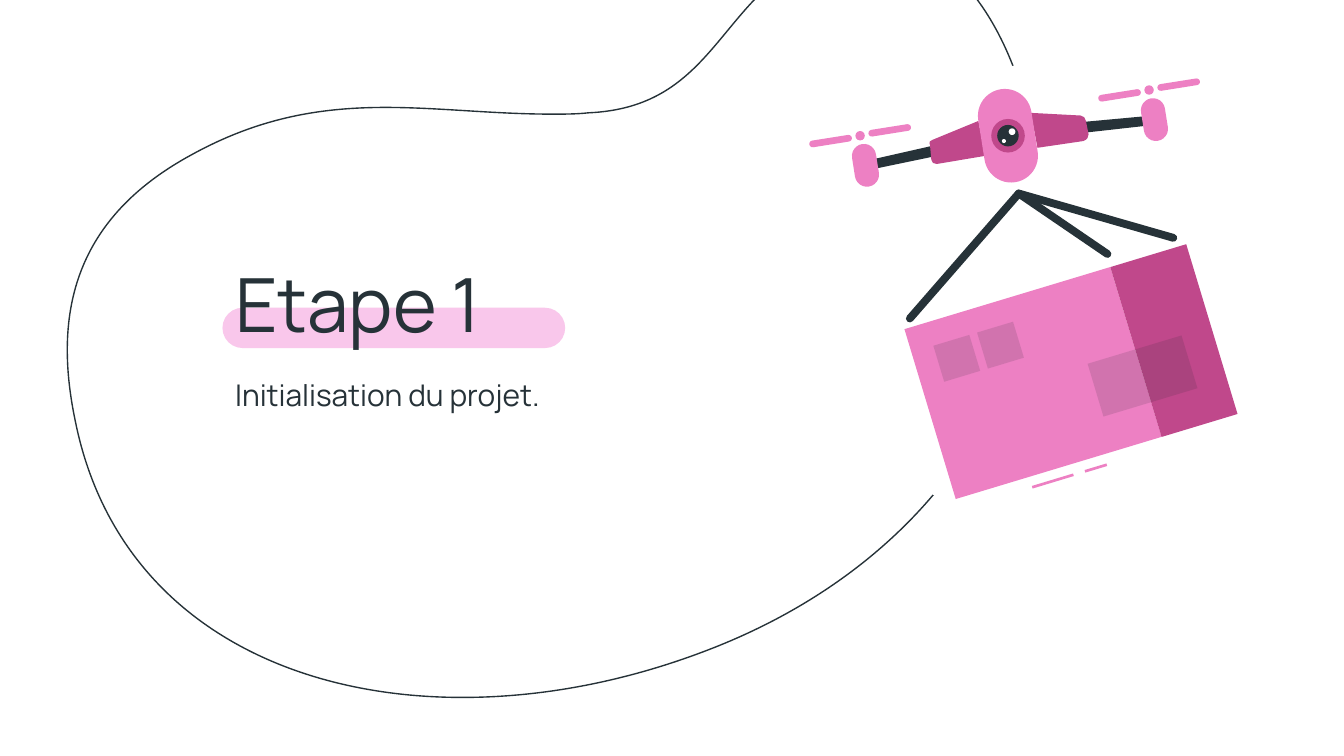
from dataclasses import dataclass
from math import cos, radians, sin

from lxml.etree import SubElement
from pptx import Presentation
from pptx.dml.color import RGBColor as Rgb
from pptx.enum.shapes import MSO_CONNECTOR as Link, MSO_SHAPE as Kind
from pptx.enum.text import MSO_ANCHOR as Anchor, MSO_AUTO_SIZE as Fit, PP_ALIGN as Align
from pptx.oxml.ns import qn
from pptx.util import Inches, Pt


@dataclass(frozen=True)
class Theme:
    font: str = "Manrope"
    ink: str = "263238"
    shade: str = "1A2327"
    pink: str = "ED80C3"
    deep: str = "C0488B"
    pale: str = "F9C7EB"
    white: str = "FFFFFF"
    title: int = 40
    body: int = 16
    thin: float = 0.75
    rope: float = 4.2


T = Theme()
COLS = 10
WIDE = Inches(COLS)
HIGH = WIDE * 9 // 16
CELL = WIDE / COLS
TILT = -9  # drone
LEAN = radians(-16.8)  # crate

# A step of two numbers is a line, a step of six is a curve.
ROUTE = [
    (6.51, -0.44),
    (6.36, -0.44, 6.19, -0.4, 6.01, -0.31),
    (5.34, 0.04, 5.29, 0.8, 4.38, 0.84),
    (4.29, 0.85, 4.2, 0.85, 4.11, 0.85),
    (3.67, 0.85, 3.27, 0.8, 2.87, 0.8),
    (2.4, 0.8, 1.94, 0.87, 1.43, 1.15),
    (0.56, 1.62, 0.39, 2.32, 0.56, 3.13),
    (0.84, 4.53, 2.05, 5.19, 3.44, 5.19),
    (4.04, 5.19, 4.66, 5.07, 5.26, 4.84),
    (7.17, 4.11, 8.05, 2.42, 7.62, 0.74),
    (7.48, 0.23, 7.12, -0.44, 6.51, -0.44),
]
ARMS = [
    [(8.58, 0.86), (8.04, 0.91), (8.05, 0.99), (8.59, 0.93)],
    [(6.96, 1.08), (6.43, 1.2), (6.44, 1.27), (6.97, 1.16)],
]
WINGS = [
    [(7.67, 0.84), (7.72, 1.1), (8.06, 1.05), (8.09, 1.04, 8.1, 1.02, 8.1, 1),
     (8.08, 0.9), (8.08, 0.88, 8.06, 0.86, 8.04, 0.86)],
    [(7.28, 0.9), (6.94, 1.04), (6.92, 1.04, 6.91, 1.06, 6.92, 1.08),
     (6.93, 1.19), (6.93, 1.21, 6.95, 1.22, 6.97, 1.22), (7.33, 1.16)],
]
HUBS = [(8.55, 0.67), (6.4, 1.01)]
HOOK = (7.58, 1.44)
ENDS = [(8.73, 1.77), (8.24, 1.89), (6.77, 2.37)]


def units(*vals):
    return [round(v * CELL) for v in vals]


def apply(item, form):
    for name, val in form.items():
        setattr(item, name, val)


def paint(shape, color, alpha=None):
    shape.shadow.inherit = False
    shape.line.fill.background()
    shape.fill.solid()
    shape.fill.fore_color.rgb = Rgb.from_string(color)
    if alpha:
        tint = shape._element.spPr.find(".//" + qn("a:srgbClr"))
        SubElement(tint, qn("a:alpha")).set("val", str(alpha * 1000))


def stroke(shape, color, width):
    shape.line.color.rgb = Rgb.from_string(color)
    shape.line.width = Pt(width)


def trace(shapes, steps):
    """Build a closed outline, turning each six-number step into a curve."""
    pts = [pair for step in steps for pair in zip(step[::2], step[1::2])]
    pen = shapes.build_freeform(*units(*pts[0]), scale=1.0)
    pen.add_line_segments([units(*pt) for pt in pts[1:]], close=True)
    shape = pen.convert_to_shape()
    track = shape._element.find(".//" + qn("a:path"))
    lines = iter(track.findall(qn("a:lnTo")))
    for step in steps[1:]:
        line = next(lines)
        if len(step) == 6:
            curve = SubElement(track, qn("a:cubicBezTo"))
            line.addprevious(curve)
            for part in (line, next(lines), next(lines)):
                curve.append(part[0])
                track.remove(part)
    return shape


def blob(shapes, kind, mid, size, color, turn=0):
    """Add a preset shape around its centre."""
    (x, y), (w, h) = mid, size
    shape = shapes.add_shape(kind, *units(x - w / 2, y - h / 2, w, h))
    if kind == Kind.ROUNDED_RECTANGLE:
        shape.adjustments[0] = 0.5
    shape.rotation = turn
    paint(shape, color)
    return shape


def pill(shapes, mid, size, color, turn=0):
    return blob(shapes, Kind.ROUNDED_RECTANGLE, mid, size, color, turn)


def disc(shapes, mid, size, color):
    return blob(shapes, Kind.OVAL, mid, (size, size), color)


def panel(shapes, x, y, w, h, color, alpha=None):
    """Add a rectangle measured along the leaning edges of the crate."""
    c, s = cos(LEAN), sin(LEAN)
    ends = [(x, y), (x + w, y), (x + w, y + h), (x, y + h)]
    steps = [(6.73 + u * c - v * s, 2.45 + u * s + v * c) for u, v in ends]
    paint(trace(shapes, steps), color, alpha)


def rope(shapes, end):
    line = shapes.add_connector(Link.STRAIGHT, *units(*HOOK, *end))
    stroke(line, T.ink, T.rope)
    line._element.spPr.find(qn("a:ln")).set("cap", "rnd")
    SubElement(line._element.spPr, qn("a:effectLst"))


def rotor(shapes, x, y):
    pill(shapes, (x + 0.04, y + 0.22), (0.18, 0.32), T.pink, TILT)
    disc(shapes, (x, y), 0.07, T.pink)
    for side in (-1, 1):
        mid = (x + side * 0.22, y - side * 0.04)
        pill(shapes, mid, (0.32, 0.05), T.pink, TILT)


def crate(shapes):
    panel(shapes, 0, 0, 1.6, 1.32, T.pink)
    panel(shapes, 1.6, 0, 0.59, 1.32, T.deep)
    panel(shapes, 1.23, 0.64, 0.73, 0.41, T.shade, 13)
    for x in (0.17, 0.51):
        panel(shapes, x, 0.18, 0.28, 0.28, T.shade, 13)
    for x, w in ((0.57, 0.32), (0.98, 0.17)):
        panel(shapes, x, 1.39, w, 0.02, T.pink)


def drone(shapes):
    for arm in ARMS:
        paint(trace(shapes, arm), T.ink)
    for wing in WINGS:
        paint(trace(shapes, wing), T.deep)
    pill(shapes, (7.5, 1.01), (0.4, 0.7), T.pink, TILT)
    for mid, size, color in (
        ((7.5, 1.01), 0.25, T.deep), ((7.5, 1.01), 0.16, T.ink),
        ((7.53, 0.98), 0.05, T.white), ((7.47, 1.05), 0.03, T.white),
    ):
        disc(shapes, mid, size, color)
    for hub in HUBS:
        rotor(shapes, *hub)
    for end in ENDS:
        rope(shapes, end)


def write(holder, text, box, size, after=0):
    apply(holder, dict(zip(("left", "top", "width", "height"), units(*box))))
    frame = holder.text_frame
    frame.text = text
    pad = Inches(0.1)
    apply(frame, dict(
        word_wrap=True, auto_size=Fit.NONE, vertical_anchor=Anchor.TOP,
        margin_left=pad, margin_right=pad, margin_top=pad, margin_bottom=pad))
    para = frame.paragraphs[0]
    apply(para, dict(alignment=Align.LEFT, line_spacing=1.0,
                     space_before=Pt(0), space_after=Pt(after)))
    font = para.runs[0].font
    apply(font, dict(name=T.font, size=Pt(size), bold=False))
    font.color.rgb = Rgb.from_string(T.ink)


def main():
    deck = Presentation()
    apply(deck, dict(slide_width=WIDE, slide_height=HIGH))
    slide = deck.slides.add_slide(deck.slide_layouts[0])
    shapes = slide.shapes
    title, sub = slide.placeholders
    write(title, "Etape 1", (1.65, 1.82, 4.23, 0.79), T.title)
    write(sub, "Initialisation du projet.", (1.65, 2.7, 2.99, 0.55), T.body, 16)

    route = trace(shapes, ROUTE)
    route.shadow.inherit = False
    route.fill.background()
    stroke(route, T.ink, T.thin)
    mark = pill(shapes, (2.93, 2.44), (2.55, 0.3), T.pale)
    for back in (route, mark):
        title._element.addprevious(back._element)

    art = shapes.add_group_shape().shapes
    disc(art, (7.8, 2.19), 3.44, T.white)
    crate(art)
    drone(art)
    deck.save("out.pptx")


if __name__ == "__main__":
    main()
